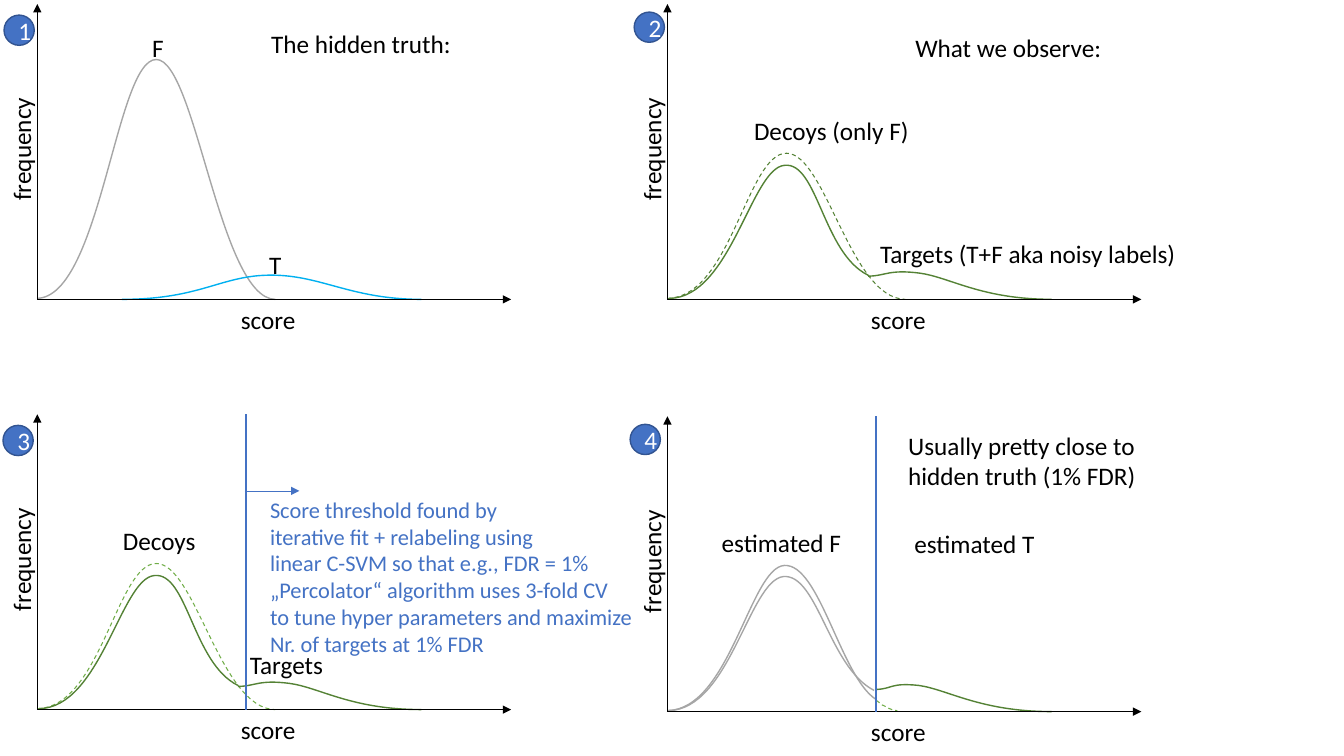
from lxml.etree import SubElement
from pptx import Presentation
from pptx.dml.color import RGBColor
from pptx.enum.dml import MSO_LINE
from pptx.enum.shapes import MSO_CONNECTOR as CONN, MSO_SHAPE as SHAPE
from pptx.enum.text import MSO_ANCHOR as ANCHOR, MSO_AUTO_SIZE as AUTO, PP_ALIGN as ALIGN
from pptx.oxml.ns import qn
from pptx.util import Inches, Pt

rgb = RGBColor.from_string
BLACK, WHITE, BLUE, NAVY = "000000", "FFFFFF", "4472C4", "325491"
GRAY, CYAN, GREEN, LIME = "A6A6A6", "00B0F0", "548235", "70AD47"


def style_line(shape, color, width, dashed=False, arrow=False):
    """Set colour, width, dash and arrowhead of a line, without shadow."""
    shape.line.color.rgb = rgb(color)
    shape.line.width = Pt(width)
    if dashed:
        shape.line.dash_style = MSO_LINE.DASH
    if arrow:
        SubElement(shape.line._ln, qn("a:tailEnd"), type="triangle")
    SubElement(shape._element.spPr, qn("a:effectLst"))


def write_text(shape, text, size=18, color=BLACK, **frame):
    """Fill a shape with text in one format; frame holds text frame settings."""
    tf = shape.text_frame
    tf.text = text
    for name, value in frame.items():
        setattr(tf, name, value)
    for p in tf.paragraphs:
        for r in p.runs:
            for name, value in {"name": "Calibri", "size": Pt(size)}.items():
                setattr(r.font, name, value)
            r.font.color.rgb = rgb(color)


# Every place below is measured from the origin of its panel's axes.
# A curve is a start point followed by three points per Bezier arc.
decoys = [(0, -.01), (.63, -.02), (.79, -1.45), (1.18, -1.45),
          (1.57, -1.45), (1.81, -.01), (2.36, 0)]
target_peak = [(.02, -.01), (.63, -.02), (.83, -1.3), (1.16, -1.33),
               (1.49, -1.37), (1.54, -.46), (1.99, -.24)]
target_tail = [(1.99, -.23), (2.16, -.23), (2.19, -.3), (2.5, -.26),
               (2.8, -.22), (3.11, 0), (3.81, 0)]
true_f = [(0, -.01), (.63, -.03), (.78, -2.38), (1.18, -2.38),
          (1.57, -2.38), (1.81, -.01), (2.36, 0)]
true_t = [(.84, 0), (1.63, 0), (1.82, -.24), (2.32, -.24),
          (2.82, -.24), (3.11, 0), (3.81, 0)]
estimated_outer = [(0, -.01), (.62, -.02), (.82, -1.43), (1.16, -1.45),
                   (1.51, -1.47), (1.72, -.34), (2.07, -.12)]
estimated_inner = [(.01, -.01), (.62, -.02), (.81, -1.3), (1.15, -1.34),
                   (1.49, -1.37), (1.6, -.44), (2.05, -.21)]
estimated_t = [(2.06, -.22), (2.23, -.22), (2.2, -.29), (2.49, -.26),
               (2.78, -.22), (3.1, 0), (3.81, 0)]
decoy_rest = [(2.07, -.11), (2.08, -.11), (2.11, -.08), (2.12, -.07),
              (2.16, -.06), (2.23, 0), (2.28, -.01)]

explanation = ("Score threshold found by\n"
               "iterative fit + relabeling using \vlinear C-SVM so that e.g., FDR = 1%\n"
               "„Percolator“ algorithm uses 3-fold CV \n"
               "to tune hyper parameters and maximize\vNr. of targets at 1% FDR ")

x_axis = (0, 0, 4.7, 0, BLACK, .5, True)
y_axis = (0, 0, 0, -2.93, BLACK, .5, True)
threshold = (2.07, -2.93, 2.07, 0, BLUE, 1.5, False)
threshold_arrow = (2.06, -2.17, 2.6, -2.17, BLUE, .5, True)

# curves: points, colour, width, dashed; labels: text, left, top, width, height
panels = [
    {"origin": (.37, 2.97), "badge": (-.33, -2.82), "lines": [],
     "curves": [(true_f, GRAY, 1, False), (true_t, CYAN, 1, False)],
     "labels": [("F", 1.04, -2.7, .32, .4), ("T", 2.2, -.55, .32, .4),
                ("The hidden truth:", 2.22, -2.74, 2.01, .4)]},
    {"origin": (6.62, 2.97), "badge": (-.33, -2.85), "lines": [],
     "curves": [(decoys, GREEN, .75, True), (target_tail, GREEN, 1, False),
                (target_peak, GREEN, 1, False)],
     "labels": [("Decoys (only F)", .76, -1.88, 1.81, .4),
                ("Targets (T+F aka noisy labels)", 2.01, -.65, 3.16, .4),
                ("What we observe:", 2.36, -2.7, 2.07, .4)]},
    {"origin": (.37, 7.04), "badge": (-.34, -2.82),
     "lines": [threshold, threshold_arrow],
     "curves": [(decoys, LIME, .75, True), (target_tail, GREEN, 1, False),
                (target_peak, GREEN, 1, False)],
     "labels": [("Decoys", .75, -1.88, .93, .4), ("Targets", 2.01, -.65, .93, .4),
                (explanation, 2.21, -2.17, 3.84, 1.72, 16, BLUE)]},
    {"origin": (6.62, 7.06), "badge": (-.37, -2.85), "lines": [threshold],
     "curves": [(estimated_outer, GRAY, 1, False), (estimated_t, GREEN, 1, False),
                (estimated_inner, GRAY, 1, False), (decoy_rest, LIME, .75, True)],
     "labels": [("estimated F", .44, -1.88, 1.4, .4), ("estimated T", 2.35, -1.87, 1.41, .4),
                ("Usually pretty close to \vhidden truth (1% FDR)", 2.29, -2.84, 2.54, .71)]},
]

prs = Presentation()
prs.slide_width, prs.slide_height = Inches(13.33), Inches(7.5)
s = prs.slides.add_slide(prs.slide_layouts[6])

for number, panel in enumerate(panels, 1):
    x0, y0 = panel["origin"]
    shapes = s.shapes.add_group_shape().shapes

    for points, color, width, dashed in panel["curves"]:
        outline = [(Inches(x0 + x), Inches(y0 + y)) for x, y in points]
        builder = shapes.build_freeform(*outline[0])
        builder.add_line_segments(outline[3::3], close=False)
        curve = builder.convert_to_shape()
        # Bend each straight segment into a cubic arc
        for i, arc in enumerate(list(curve._element.iter(qn("a:lnTo")))):
            arc.clear()
            arc.tag = qn("a:cubicBezTo")
            for x, y in outline[3 * i + 1:3 * i + 4]:
                SubElement(arc, qn("a:pt"), x=str(x - curve.left), y=str(y - curve.top))
        curve.fill.background()
        style_line(curve, color, width, dashed)

    for x1, y1, x2, y2, color, width, arrow in [y_axis, x_axis] + panel["lines"]:
        line = shapes.add_connector(CONN.STRAIGHT, Inches(x0 + x1), Inches(y0 + y1),
                                    Inches(x0 + x2), Inches(y0 + y2))
        style_line(line, color, width, arrow=arrow)

    axis_labels = [("score", 1.92, 0, .75, .4), ("frequency", -.78, -1.7, 1.24, .4)]
    for text, left, top, width, height, *font in axis_labels + panel["labels"]:
        label = shapes.add_textbox(Inches(x0 + left), Inches(y0 + top),
                                   Inches(width), Inches(height))
        write_text(label, text, *font, word_wrap=False, auto_size=AUTO.SHAPE_TO_FIT_TEXT)
        if text == "frequency":
            label.rotation = 270

    left, top = panel["badge"]
    badge = shapes.add_shape(SHAPE.OVAL, Inches(x0 + left), Inches(y0 + top),
                             Inches(.3), Inches(.3))
    badge.fill.solid()
    badge.fill.fore_color.rgb = rgb(BLUE)
    style_line(badge, NAVY, 1)
    write_text(badge, str(number), color=WHITE, vertical_anchor=ANCHOR.MIDDLE)
    badge.text_frame.paragraphs[0].alignment = ALIGN.CENTER

prs.save("out.pptx")
